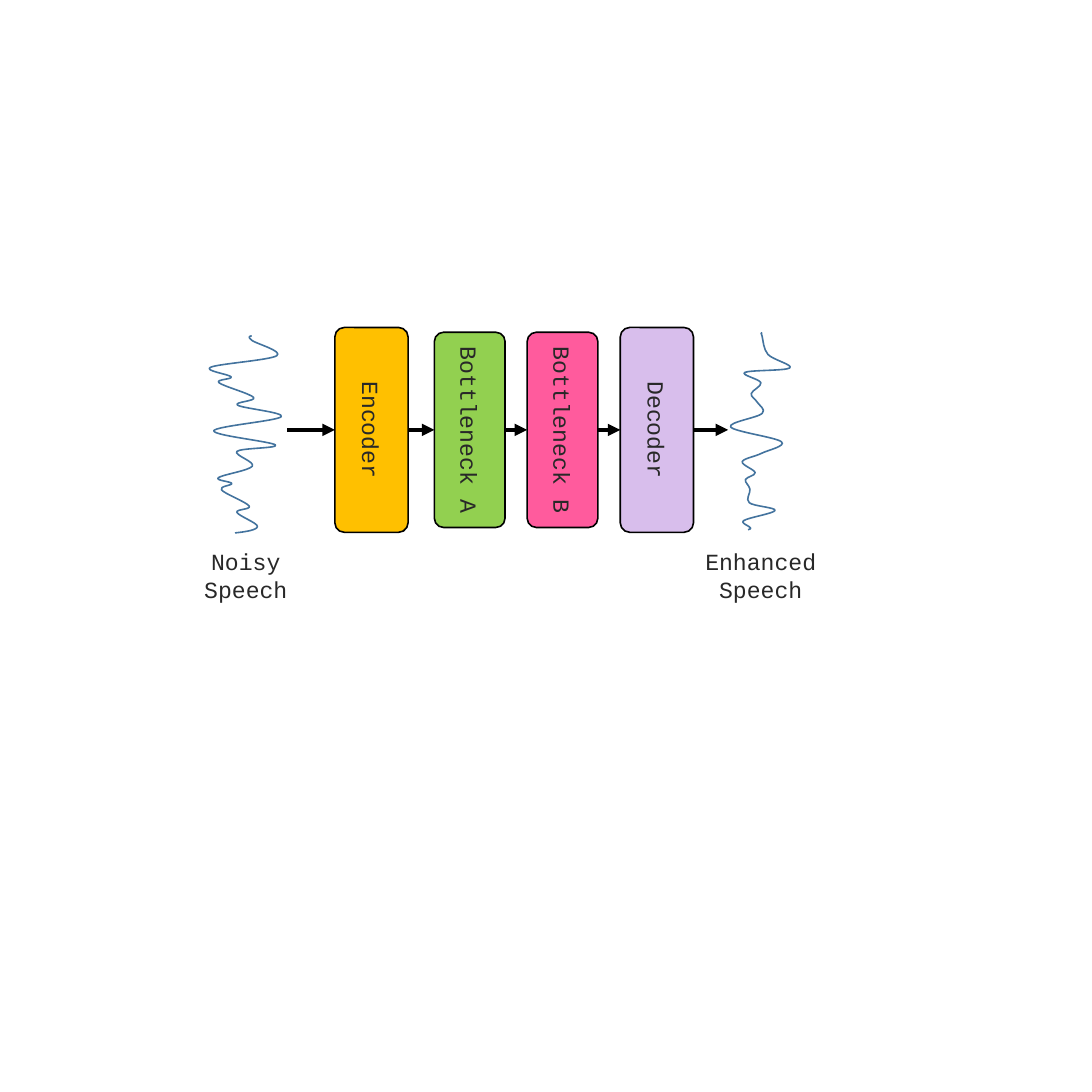
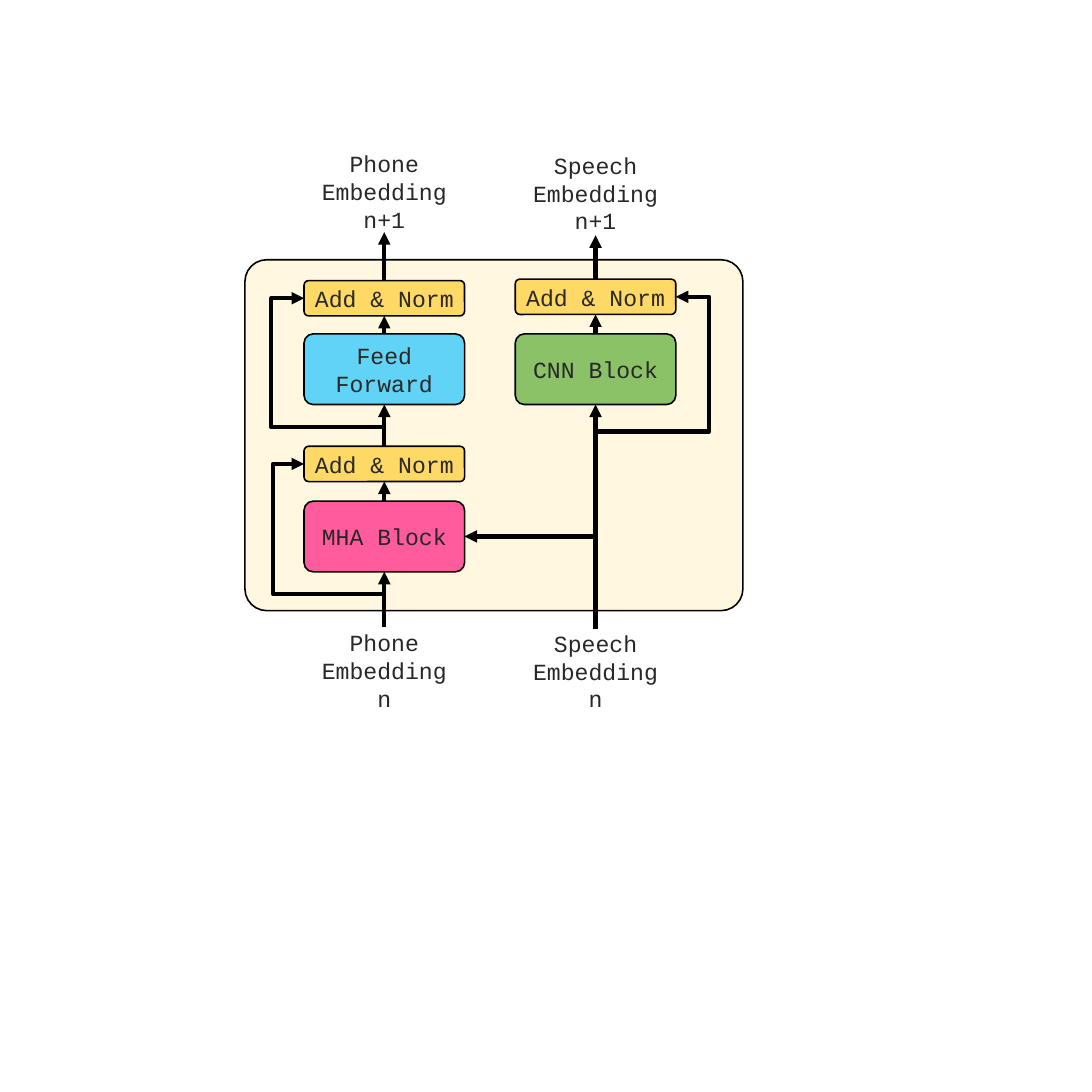
import pptx
import pptx.dml.color
import pptx.enum.shapes
import pptx.enum.text
import pptx.oxml.ns
import pptx.util
from lxml import etree

Pt = pptx.util.Pt
qn = pptx.oxml.ns.qn
SHAPES = pptx.enum.shapes.MSO_SHAPE
CONNECTORS = pptx.enum.shapes.MSO_CONNECTOR

# Shared style
SIDE = 1700.64
FONT, FONT_SIZE = "Courier New", 36
INK, BLACK, WAVE = "282828", "000000", "43739E"
ORANGE, YELLOW, PINK = "FFC000", "FFD966", "FF5B9D"
OUTLINE, ARROW = 2.5, 6.5
CORNER = 0.129
TOP, LEFT, BOTTOM, RIGHT = range(4)

# Slide 1: speech pipeline
AXIS = 669.5
STAGES = [  # text, centre x, length, thickness, fill
    ("Encoder", 578.5, 319, 114, ORANGE),
    ("Bottleneck A", 731.5, 304, 110, "92D050"),
    ("Bottleneck B", 876, 304, 110, PINK),
    ("Decoder", 1023, 319, 114, "D8BEEC"),
]
PIPELINE_START, PIPELINE_END = 447, 1134
SIGNALS = [("Noisy\nSpeech", 382.75), ("Enhanced\nSpeech", 1184.75)]
# The first and last point of a wave only steer its end tangents
NOISY_WAVE = [
    (414, 526),
    (392, 523), (392, 530), (431, 554), (328, 572), (360, 587),
    (341, 596), (395, 619), (370, 631), (438, 649), (333, 671),
    (429, 693), (369, 703), (393, 726), (340, 744), (361, 753),
    (345, 763), (388, 788), (369, 798), (401, 820), (366, 830),
    (297, 831),
]
ENHANCED_WAVE = [
    (1204, 520),
    (1187, 518), (1187, 524), (1196, 552), (1230, 573), (1160, 580),
    (1185, 596), (1170, 613), (1179, 626), (1187, 644), (1138, 665),
    (1217, 688), (1186, 706), (1156, 719), (1176, 736), (1161, 747),
    (1168, 762), (1167, 783), (1207, 795), (1158, 811), (1165, 825),
    (1072, 828),
]

# Slide 2: bottleneck block
PANEL = (381.5, 404.5, 775.5, 546.5)
PHONE, SPEECH = 598.5, 927.5
BLOCKS = {  # name: text, centre x, top, width, height, fill, opacity
    "mha": ("MHA Block", PHONE, 780.5, 250, 110, PINK, 100),
    "mha norm": ("Add & Norm", PHONE, 695, 250, 55, YELLOW, 100),
    "feed": ("Feed Forward", PHONE, 520, 250, 110, "21C5FF", 71),
    "feed norm": ("Add & Norm", PHONE, 437, 250, 55, YELLOW, 100),
    "cnn": ("CNN Block", SPEECH, 520, 250, 110, "8BC167", 100),
    "cnn norm": ("Add & Norm", SPEECH, 434.75, 250, 55, YELLOW, 100),
    "phone in": ("Phone\nEmbedding\nn", PHONE, 976.5, 229, 134, None, 100),
    "phone out": ("Phone\nEmbedding\nn+1", PHONE, 234.5, 229, 127, None, 100),
    "speech in": ("Speech\nEmbedding\nn", SPEECH, 979, 269, 132, None, 100),
    "speech out": ("Speech\nEmbedding\nn+1", SPEECH, 234.5, 269, 132, None,
                   100),
}
UPWARD = [
    ("phone in", "mha"), ("mha", "mha norm"), ("mha norm", "feed"),
    ("feed", "feed norm"), ("feed norm", "phone out"),
    ("speech in", "cnn"), ("cnn", "cnn norm"), ("cnn norm", "speech out"),
]
BENT = [  # source, target, target side, (turn y, detour x)
    ("speech in", "mha", RIGHT, None),
    ("phone in", "mha norm", LEFT, (925, 425)),
    ("mha norm", "feed norm", LEFT, (665, 422.5)),
    ("speech in", "cnn norm", RIGHT, (672, 1104.5)),
]


def color(value):
    return pptx.dml.color.RGBColor.from_string(value)


def set_line(shape, value, width):
    shape.line.color.rgb = color(value)
    shape.line.width = Pt(width)


def write(shape, text, size=FONT_SIZE, font=FONT, ink=INK):
    frame = shape.text_frame
    frame.word_wrap = True
    frame.vertical_anchor = pptx.enum.text.MSO_ANCHOR.MIDDLE
    for index, line in enumerate(text.split("\n")):
        para = frame.add_paragraph() if index else frame.paragraphs[0]
        para.alignment = pptx.enum.text.PP_ALIGN.CENTER
        span = para.add_run()
        span.text = line
        span.font.name, span.font.size = font, Pt(size)
        span.font.color.rgb = color(ink)


def add_box(page, left, top, width, height, text="", fill=None,
            opacity=100, corner=CORNER, rotation=0):
    box = page.shapes.add_shape(SHAPES.ROUNDED_RECTANGLE, Pt(left), Pt(top),
                                Pt(width), Pt(height))
    box.shadow.inherit = False
    box.adjustments[0] = corner
    box.rotation = rotation
    if fill:
        box.fill.solid()
        box.fill.fore_color.rgb = color(fill)
        set_line(box, BLACK, OUTLINE)
        if opacity < 100:
            tint = box.fill._xPr.find(".//" + qn("a:srgbClr"))
            etree.SubElement(tint, qn("a:alpha"), val=str(opacity * 1000))
    else:
        box.fill.background()
        box.line.fill.background()
    if text:
        write(box, text)
    return box


def add_arrow(page, start=(0, 0), end=(0, 0), kind=CONNECTORS.STRAIGHT):
    arrow = page.shapes.add_connector(kind, *map(Pt, start + end))
    set_line(arrow, BLACK, ARROW)
    etree.SubElement(arrow.line._get_or_add_ln(), qn("a:tailEnd"),
                     type="triangle")
    etree.SubElement(arrow._element.spPr, qn("a:effectLst"))
    return arrow


def join(arrow, source, target, side):
    arrow.begin_connect(source, TOP)
    arrow.end_connect(target, side)


def bend(arrow, detour):
    """Leave upward, arrive sideways, optionally around a detour."""
    x1, y1, x2, y2 = arrow.begin_x, arrow.begin_y, arrow.end_x, arrow.end_y
    rise, run = abs(y2 - y1), abs(x2 - x1)
    arrow.left, arrow.top = (x1 + x2 - rise) // 2, (y1 + y2 - run) // 2
    arrow.width, arrow.height = rise, run
    to_right = x2 > x1
    arrow.rotation = 90 if to_right else 270
    frame = arrow._element.spPr.find(qn("a:xfrm"))
    frame.set("flipH", str(int(to_right)))
    frame.set("flipV", "1")
    geometry = arrow._element.spPr.find(qn("a:prstGeom"))
    geometry.set("prst", "bentConnector4" if detour else "bentConnector2")
    if detour:
        turn, side = map(Pt, detour)
        guides = geometry.find(qn("a:avLst"))
        ratios = (y1 - turn) / rise, (side - x1) / (x2 - x1)
        for number, ratio in enumerate(ratios, 1):
            etree.SubElement(guides, qn("a:gd"), name=f"adj{number}",
                             fmla=f"val {round(ratio * 100000)}")


def add_wave(page, points):
    """Draw a smooth open curve, one cubic segment between two knots."""
    knots = points[1:-1]
    builder = page.shapes.build_freeform(*knots[0], scale=Pt(1))
    builder.add_line_segments(knots[1:], close=False)
    wave = builder.convert_to_shape()
    wave.shadow.inherit = False
    wave.fill.background()
    set_line(wave, WAVE, OUTLINE)

    # Use fine local units, then turn each straight segment into a curve
    left, top = (min(axis) for axis in zip(*knots))
    local = [((x - left) * 100, (y - top) * 100) for x, y in points]
    outline = wave._element.spPr.find(".//" + qn("a:path"))
    for side in ("w", "h"):
        outline.set(side, str(int(outline.get(side)) * 100))
    start = outline.find(qn("a:moveTo")).find(qn("a:pt"))
    start.set("x", str(local[1][0]))
    start.set("y", str(local[1][1]))
    for segment, a, b, c, d in zip(outline.findall(qn("a:lnTo")), local,
                                   local[1:], local[2:], local[3:]):
        curve = etree.Element(qn("a:cubicBezTo"))
        leave = [q + (r - p) / 6 for p, q, r in zip(a, b, c)]
        arrive = [q - (r - p) / 6 for p, q, r in zip(b, c, d)]
        for x, y in (leave, arrive, c):
            etree.SubElement(curve, qn("a:pt"), x=str(round(x)),
                             y=str(round(y)))
        outline.replace(segment, curve)


deck = pptx.Presentation()
deck.slide_width = deck.slide_height = Pt(SIDE)
pipeline, block = [deck.slides.add_slide(deck.slide_layouts[6])
                   for _ in range(2)]

# Slide 1: signals, stages and the arrows in the gaps
for text, center in SIGNALS:
    add_box(pipeline, center - 114.5, 849.5, 229, 92, text)
for points in (NOISY_WAVE, ENHANCED_WAVE):
    add_wave(pipeline, points)
for text, center, length, thickness, fill in STAGES:
    add_box(pipeline, center - length / 2, AXIS - thickness / 2,
            length, thickness, text, fill, rotation=90)
starts = [PIPELINE_START] + [x + thick / 2 for _, x, _, thick, _ in STAGES]
ends = [x - thick / 2 for _, x, _, thick, _ in STAGES] + [PIPELINE_END]
for start, end in zip(starts, ends):
    add_arrow(pipeline, (start, AXIS), (end, AXIS))

# Slide 2: panel, blocks and glued arrows
add_box(block, *PANEL, fill=ORANGE, opacity=12, corner=0.062)
boxes = {
    name: add_box(block, center - width / 2, top, width, height, text,
                  fill, opacity)
    for name, (text, center, top, width, height, fill, opacity)
    in BLOCKS.items()
}
for source, target in UPWARD:
    join(add_arrow(block), boxes[source], boxes[target], BOTTOM)
for source, target, side, detour in BENT:
    arrow = add_arrow(block, kind=CONNECTORS.ELBOW)
    join(arrow, boxes[source], boxes[target], side)
    bend(arrow, detour)

deck.save("out.pptx")
